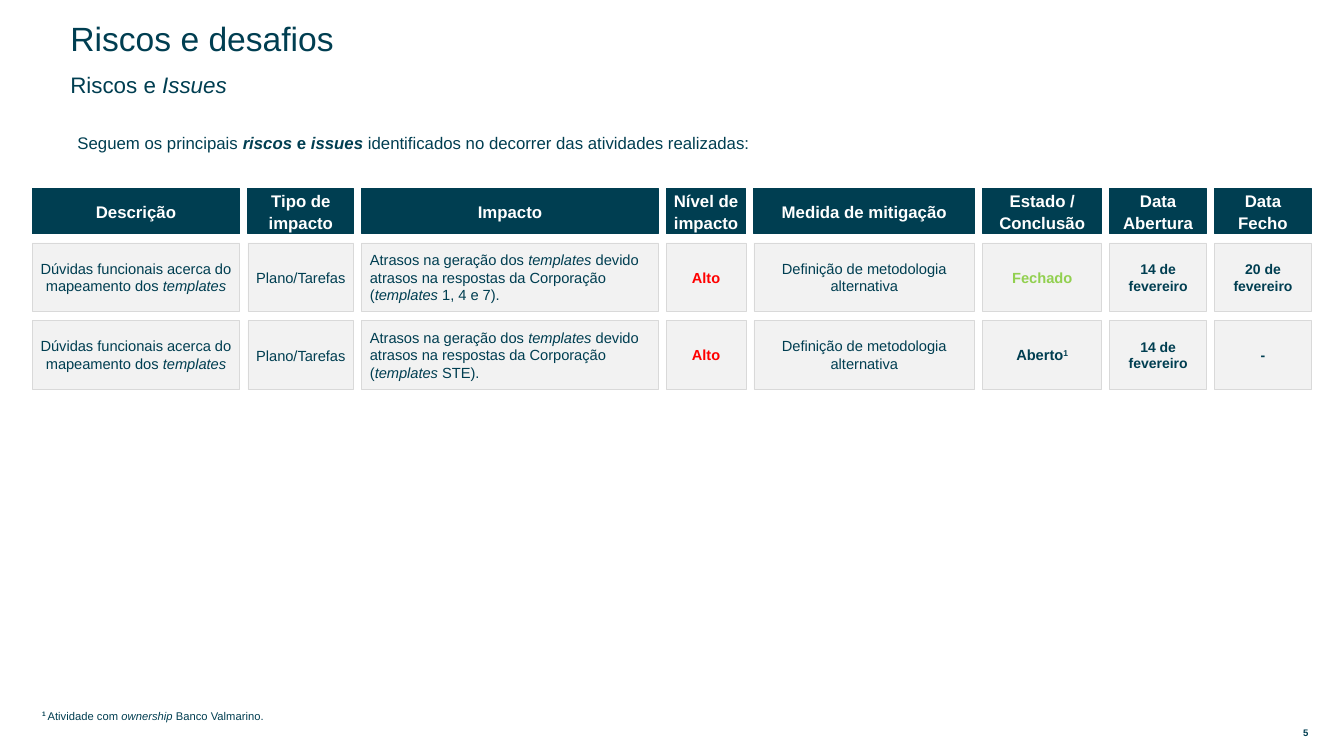
from pptx import Presentation
from pptx.dml.color import RGBColor
from pptx.enum.shapes import MSO_SHAPE
from pptx.enum.text import MSO_ANCHOR, PP_ALIGN
from pptx.util import Pt

PX = 9144  # 100 px per inch
TEAL, WHITE, PALE, GREY = "003E51", "FFFFFF", "F2F2F2", "D9D9D9"
RED, GREEN = "FF0000", "92D050"
LEFT, MID = PP_ALIGN.LEFT, PP_ALIGN.CENTER

# Content: each text is a list of (words, style), b bold, i italic, ^ raised
# box, size, anchor in the middle, line spacing, runs
NOTES = [
    ((60, 27, 795, 26), 24, True, 0.9, [("Riscos e desafios", "")]),
    ((60, 73, 766, 26), 16, True, 0.9, [("Riscos e ", ""), ("Issues", "i")]),
    ((67, 127, 1215, 44), 12, False, 1, [
        ("Seguem os principais ", ""), ("riscos ", "bi"), ("e ", "b"), ("issues ", "bi"),
        ("identificados no decorrer das atividades realizadas:", "")]),
    ((32, 697, 1176, 25), 8, False, 1.1, [
        ("1 ", "b^"), ("Atividade com ", ""), ("ownership", "i"), (" Banco Valmarino.", "")]),
]

# heading, width, body size, side inset, align, line spacing
COLS = [
    ("Descrição", 206, 10.5, 4, MID, 1),
    ("Tipo de impacto", 105, 10.5, 4, MID, 1.1),
    ("Impacto", 294, 10.5, 8, LEFT, 1),
    ("Nível de impacto", 79, 10.4, 0, MID, 1),
    ("Medida de mitigação", 219, 10.5, 12, MID, 1),
    ("Estado / Conclusão", 118, 10.5, 12, MID, 1),
    ("Data Abertura", 96, 10, 12, MID, 1),
    ("Data Fecho", 96, 10, 12, MID, 1),
]


def risk(scope, state, hue, end):
    """One row: a (runs, colour) pair for each column."""
    return [
        ([("Dúvidas funcionais acerca do mapeamento dos ", ""), ("templates", "i")], TEAL),
        ([("Plano/Tarefas", "")], TEAL),
        ([("Atrasos na geração dos ", ""), ("templates", "i"),
          (" devido atrasos na respostas da Corporação (", ""),
          ("templates ", "i"), (scope, "")], TEAL),
        ([("Alto", "b")], RED),
        ([("Definição de metodologia alternativa", "")], TEAL),
        (state, hue),
        ([("14 de fevereiro", "b")], TEAL),
        ([(end, "b")], TEAL),
    ]


RISKS = [
    risk("1, 4 e 7).", [("Fechado", "b")], GREEN, "20 de fevereiro"),
    risk("STE).", [("Aberto", "b"), ("1", "b^")], TEAL, "-"),
]
START, GAP = 32, 8
HEAD_TOP, HEAD_H = 187, 45
ROW_TOP, ROW_H, STEP = 241, 68, 77


def rgb(code):
    return RGBColor.from_string(code)


def write(shape, runs, size, hue=TEAL, align=LEFT, mid=True, space=1, inset=(10, 5)):
    frame = shape.text_frame
    frame.word_wrap = True
    frame.vertical_anchor = MSO_ANCHOR.MIDDLE if mid else MSO_ANCHOR.TOP
    frame.margin_left = frame.margin_right = inset[0] * PX
    frame.margin_top = frame.margin_bottom = inset[1] * PX
    para = frame.paragraphs[0]
    para.alignment = align
    para.line_spacing = space
    for words, style in runs:
        run = para.add_run()
        run.text = words
        font = run.font
        font.name, font.size = "Arial", Pt(size)
        font.bold, font.italic = "b" in style, "i" in style
        font.color.rgb = rgb(hue)
        if "^" in style:
            run._r.get_or_add_rPr().set("baseline", "30000")


def label(page, box, *args, **opts):
    write(page.shapes.add_textbox(*[n * PX for n in box]), *args, **opts)


def cell(host, box, fill, edge, weight, *args, **opts):
    shape = host.shapes.add_shape(MSO_SHAPE.RECTANGLE, *[n * PX for n in box])
    shape.shadow.inherit = False
    shape.fill.solid()
    shape.fill.fore_color.rgb = rgb(fill)
    shape.line.color.rgb = rgb(edge)
    shape.line.width = Pt(weight)
    write(shape, *args, **opts)


def main():
    deck = Presentation()
    deck.slide_width, deck.slide_height = 12192000, 750 * PX
    page = deck.slides.add_slide(deck.slide_layouts[6])

    # Titles, lead and footnote
    for box, size, mid, space, runs in NOTES:
        label(page, box, runs, size, mid=mid, space=space)

    # Page number
    label(page, (1273, 719, 45, 16), [("5", "b")], 6.8, align=MID, inset=(6, 3))

    # Grid of headings, then one group per risk
    bands = [page.shapes.add_group_shape() for _ in RISKS]
    left = START
    for col, (name, width, size, side, align, space) in enumerate(COLS):
        cell(page, (left, HEAD_TOP, width, HEAD_H), TEAL, TEAL, 0.75,
             [(name, "b")], 12, WHITE, MID, space=1.1, inset=(4, 4))
        for row, (band, items) in enumerate(zip(bands, RISKS)):
            runs, hue = items[col]
            cell(band, (left, ROW_TOP + row * STEP, width, ROW_H), PALE, GREY, 0.5,
                 runs, size, hue, align, space=space, inset=(side, 4))
        left += width + GAP

    deck.save("out.pptx")


if __name__ == "__main__":
    main()
